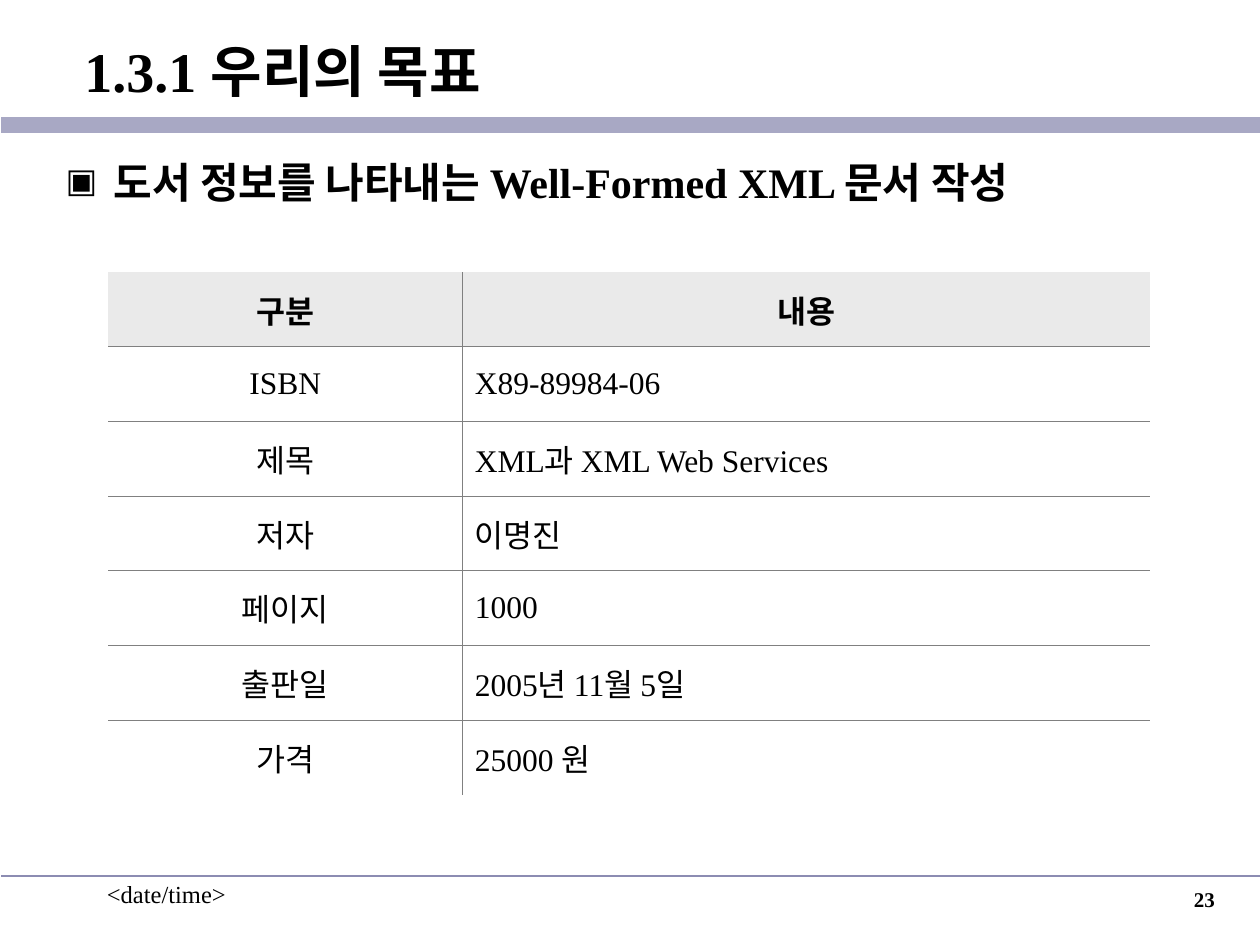
from lxml.etree import SubElement
from pptx import Presentation
from pptx.dml.color import RGBColor
from pptx.enum.shapes import MSO_CONNECTOR
from pptx.enum.text import MSO_ANCHOR, MSO_AUTO_SIZE, PP_ALIGN
from pptx.oxml.ns import qn
from pptx.util import Inches, Pt


def tint(color, code):
    color.rgb = RGBColor.from_string(code)


def style(frame, text, size, bold=False, align=PP_ALIGN.LEFT, gap=0):
    frame.text = text
    frame.word_wrap = True
    para = frame.paragraphs[0]
    para.alignment, para.space_before = align, Pt(gap)
    para.line_spacing = 1.0
    para.font.name, para.font.size, para.font.bold = "Times New Roman", Pt(size), bold
    tint(para.font.color, "000000")
    return para


deck = Presentation()
deck.slide_width, deck.slide_height = Inches(10), Inches(7.5)
slide = deck.slides.add_slide(deck.slide_layouts[1])
shapes = slide.shapes

# Rules under the title and above the footer
for y, code, width in ((0.99, "A8A8C4", 9.25), (6.95, "8C8CB2", 1)):
    rule = shapes.add_connector(MSO_CONNECTOR.STRAIGHT, Inches(0.01), Inches(y),
                                deck.slide_width, Inches(y))
    tint(rule.line.color, code)
    rule.line.width = Pt(width)
    SubElement(rule.element.spPr, qn("a:effectLst"))

# Title
title = shapes.title
title.left, title.top, title.width, title.height = map(Inches, (0.01, 0.11, 9.99, 0.9))
head = style(title.text_frame, "1.3.1 우리의 목표", 32, True)
head._p.get_or_add_pPr().set("marL", str(Inches(0.56)))
title.text_frame.vertical_anchor = MSO_ANCHOR.MIDDLE
title.text_frame.auto_size = MSO_AUTO_SIZE.NONE

# Goal with a square bullet
body = slide.placeholders[1]
body.left, body.top, body.width, body.height = map(Inches, (0.42, 1.19, 9.16, 5.71))
goal = style(body.text_frame, "도서 정보를 나타내는 Well-Formed XML 문서 작성", 24, True, gap=6)
body.text_frame.auto_size = MSO_AUTO_SIZE.NONE
props = goal._p.get_or_add_pPr()
props.set("marL", str(Inches(0.38)))
props.set("indent", str(-Inches(0.38)))
SubElement(props, qn("a:buSzPct"), val="80000")
SubElement(props, qn("a:buFont"), typeface="Times New Roman")
SubElement(props, qn("a:buChar"), char="▣")

# Book table with inner borders only
rows = (
    ("구분", "내용"),
    ("ISBN", "X89-89984-06"),
    ("제목", "XML과 XML Web Services"),
    ("저자", "이명진"),
    ("페이지", "1000"),
    ("출판일", "2005년 11월 5일"),
    ("가격", "25000 원"),
)
last = len(rows) - 1
table = shapes.add_table(len(rows), 2, Inches(0.86), Inches(2.16),
                         Inches(8.27), Inches(4.15)).table
table.first_row = table.horz_banding = False
table.columns[0].width, table.columns[1].width = Inches(2.81), Inches(5.46)
for r, row in enumerate(rows):
    for c, text in enumerate(row):
        cell = table.cell(r, c)
        align = PP_ALIGN.CENTER if r == 0 or c == 0 else PP_ALIGN.LEFT
        style(cell.text_frame, text, 18, r == 0, align, 4.5)
        cell.vertical_anchor = MSO_ANCHOR.MIDDLE
        inner = {"lnL": c > 0, "lnR": c < 1, "lnT": r > 0, "lnB": r < last}
        for side, shown in inner.items():
            edge = SubElement(cell._tc.get_or_add_tcPr(), qn("a:" + side), w=str(Pt(0.45)))
            if shown:
                paint = SubElement(edge, qn("a:solidFill"))
                SubElement(paint, qn("a:srgbClr"), val="808080")
            else:
                SubElement(edge, qn("a:noFill"))
        if r == 0:
            cell.fill.solid()
            tint(cell.fill.fore_color, "EAEAEA")
        else:
            cell.fill.background()

# Footer: date and page number
for x, y, text, size, bold, align in (
    (0.75, 6.93, "<date/time>", 14, False, PP_ALIGN.LEFT),
    (7.66, 6.99, "23", 12, True, PP_ALIGN.RIGHT),
):
    box = shapes.add_textbox(Inches(x), Inches(y), Inches(2.08), Inches(0.5))
    style(box.text_frame, text, size, bold, align)

deck.save("out.pptx")
